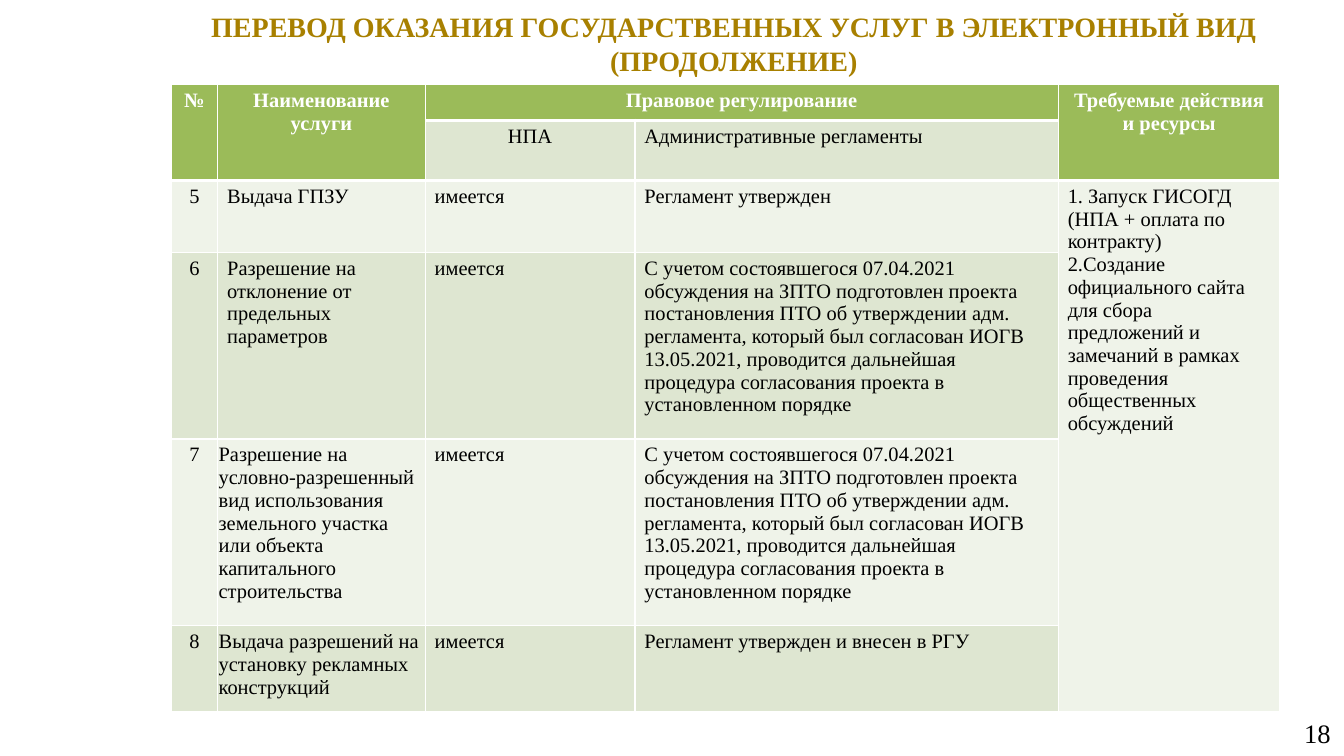
from lxml.etree import SubElement
from pptx import Presentation
from pptx.dml.color import RGBColor
from pptx.enum.text import MSO_ANCHOR, PP_ALIGN
from pptx.oxml.ns import qn
from pptx.util import Pt

FONT = "Times New Roman"
WHITE = RGBColor(0xFF, 0xFF, 0xFF)
BLACK = RGBColor(0, 0, 0)
GOLD = RGBColor(0xA8, 0x80, 0x00)
GREEN = RGBColor(0x9B, 0xBB, 0x59)
PALE = RGBColor(0xEF, 0xF3, 0xE9)
SAGE = RGBColor(0xDE, 0xE6, 0xD1)

COLUMN_WIDTHS = [33.1, 148.3, 149.8, 302.4, 158.4]
ROW_HEIGHTS = [25.7, 42.9, 51.4, 133.2, 133.5, 61.3]
MERGES = [((0, 0), (1, 0)), ((0, 1), (1, 1)), ((0, 2), (0, 3)),
          ((0, 4), (1, 4)), ((2, 4), (5, 4))]
APPROVAL = (
    "С учетом состоявшегося 07.04.2021 обсуждения на ЗПТО подготовлен проекта "
    "постановления ПТО об утверждении адм. регламента, который был согласован ИОГВ "
    "13.05.2021, проводится дальнейшая процедура согласования проекта в "
    "установленном порядке")
ACTIONS = (
    "1. Запуск ГИСОГД (НПА + оплата по контракту)\n"
    "2.Создание официального сайта для сбора предложений и замечаний в рамках "
    "проведения общественных обсуждений")
ROWS = [
    ["№", "Наименование услуги", "Правовое регулирование", "",
     "Требуемые действия и ресурсы"],
    ["", "", "НПА", "Административные регламенты", ""],
    ["5", "Выдача ГПЗУ", "имеется", "Регламент утвержден", ACTIONS],
    ["6", "Разрешение на отклонение от предельных параметров", "имеется", APPROVAL, ""],
    ["7", "Разрешение на условно-разрешенный вид использования земельного участка "
     "или объекта капитального строительства", "имеется", APPROVAL, ""],
    ["8", "Выдача разрешений на установку рекламных конструкций", "имеется",
     "Регламент утвержден и внесен в РГУ", ""],
]


def format_text(frame, size, color, align, bold=False):
    for para in frame.paragraphs:
        para.alignment = align
        para.font.name = FONT
        para.font.size = Pt(size)
        para.font.bold = bold
        para.font.color.rgb = color


def fill_box(box, text, place, size, color, align, bold=False):
    box.left, box.top, box.width, box.height = map(Pt, place)
    frame = box.text_frame
    frame.text = text
    frame.word_wrap = True
    frame.vertical_anchor = MSO_ANCHOR.MIDDLE
    frame.margin_left = frame.margin_right = Pt(9.4)
    frame.margin_top = frame.margin_bottom = Pt(5)
    format_text(frame, size, color, align, bold)


def set_borders(cell, top, bottom):
    properties = cell._tc.get_or_add_tcPr()
    for side, width in (("L", 0.96), ("R", 0.96), ("T", top), ("B", bottom)):
        line = SubElement(properties, qn(f"a:ln{side}"), w=str(Pt(width)))
        solid = SubElement(line, qn("a:solidFill"))
        SubElement(solid, qn("a:srgbClr"), val=str(WHITE))


def format_cell(cell, row, column, text):
    is_header = row == 0 or (row == 1 and column in (0, 1, 4))
    centred = row == 0 or column == 0 or (row, column) == (1, 2)
    top = 3 if row == 2 or (row == 1 and column in (2, 3)) else 0.96
    bottom = 3 if is_header else 0.96
    set_borders(cell, top, bottom)
    cell.fill.solid()
    if is_header:
        cell.fill.fore_color.rgb = GREEN
    else:
        cell.fill.fore_color.rgb = PALE if row % 2 == 0 or column == 4 else SAGE
    if column == 1 and row >= 4:
        cell.margin_left = cell.margin_right = Pt(0.7)
    else:
        cell.margin_left = cell.margin_right = Pt(6.8)
    cell.margin_top = cell.margin_bottom = Pt(3.4)
    cell.text = text
    format_text(cell.text_frame, 14.6, WHITE if is_header else BLACK,
                PP_ALIGN.CENTER if centred else PP_ALIGN.LEFT, is_header)


def add_services_table(page):
    frame = page.shapes.add_table(
        len(ROWS), len(COLUMN_WIDTHS), Pt(122.4), Pt(60.4),
        Pt(sum(COLUMN_WIDTHS)), Pt(sum(ROW_HEIGHTS)))
    table = frame.table
    for column, width in zip(table.columns, COLUMN_WIDTHS):
        column.width = Pt(width)
    for row, height in zip(table.rows, ROW_HEIGHTS):
        row.height = Pt(height)
    for row, texts in enumerate(ROWS):
        for column, text in enumerate(texts):
            format_cell(table.cell(row, column), row, column, text)
    for first, last in MERGES:
        table.cell(*first).merge(table.cell(*last))


def main():
    deck = Presentation()
    deck.slide_width, deck.slide_height = Pt(960), Pt(540)
    page = deck.slides.add_slide(deck.slide_layouts[5])
    fill_box(page.shapes.title,
             "ПЕРЕВОД ОКАЗАНИЯ ГОСУДАРСТВЕННЫХ УСЛУГ В ЭЛЕКТРОННЫЙ ВИД (ПРОДОЛЖЕНИЕ)",
             (112.3, -5, 823.7, 72), 20, GOLD, PP_ALIGN.CENTER, True)
    add_services_table(page)
    number = page.shapes.add_textbox(0, 0, 0, 0)
    fill_box(number, "18", (736, 509, 224, 28.8), 19, BLACK, PP_ALIGN.RIGHT)
    deck.save("out.pptx")


if __name__ == "__main__":
    main()
